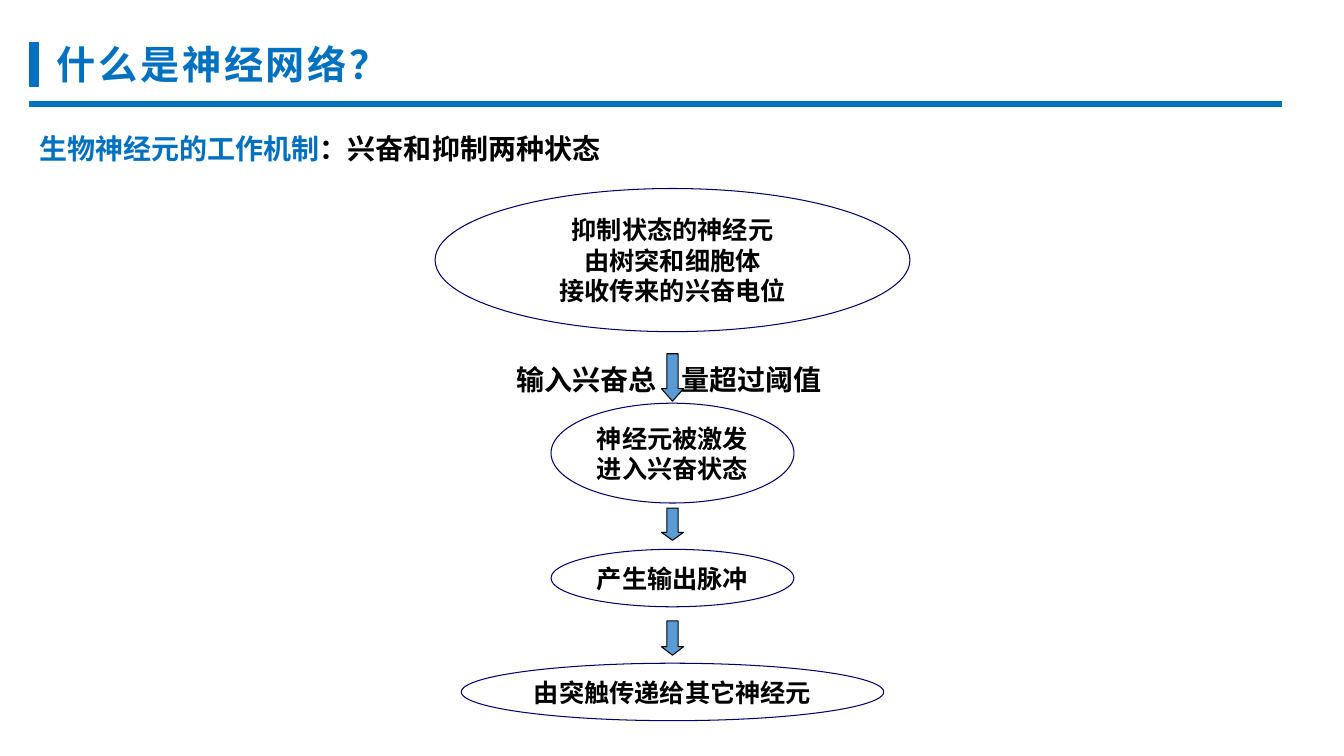
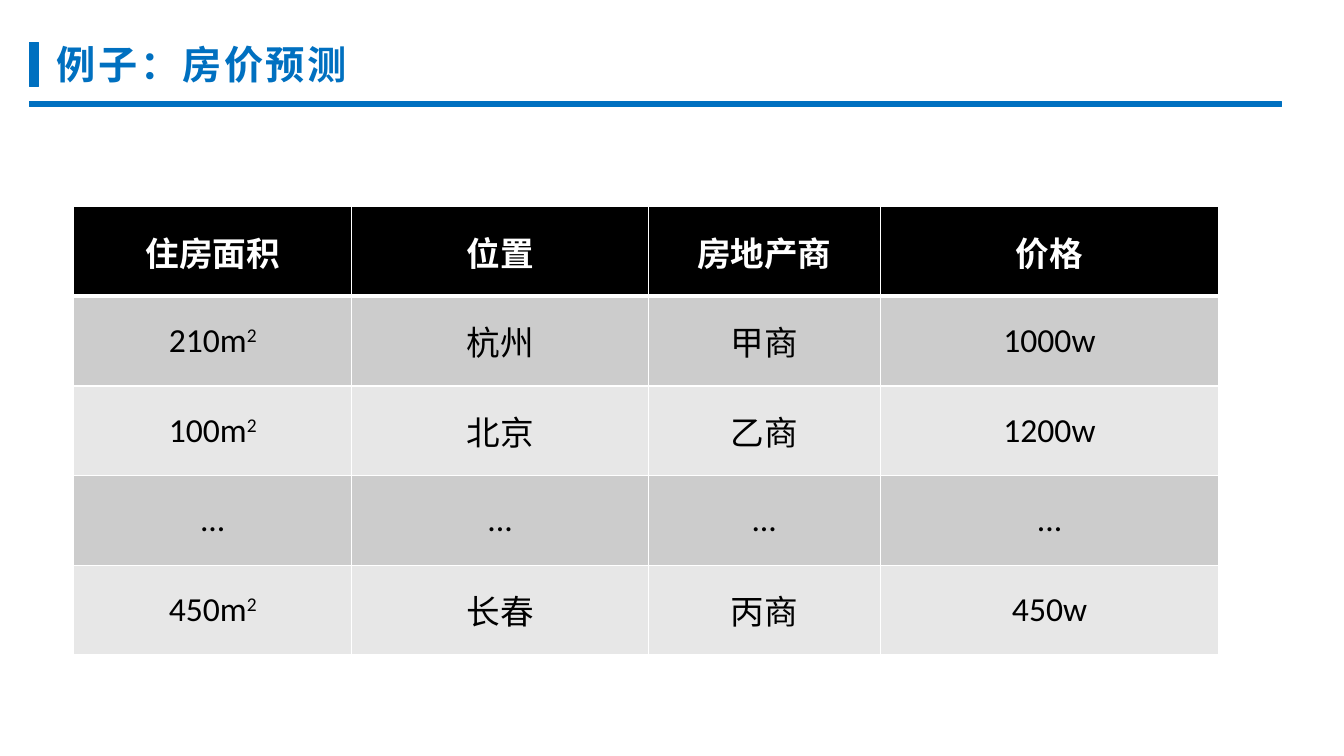
import pptx
import pptx.util
import pptx.dml.color
import pptx.enum.shapes
import pptx.enum.text
import pptx.oxml
import pptx.oxml.ns
from lxml import etree

Inches, Pt = pptx.util.Inches, pptx.util.Pt
SHAPE = pptx.enum.shapes.MSO_SHAPE
ALIGN = pptx.enum.text.PP_ALIGN
MIDDLE = pptx.enum.text.MSO_ANCHOR.MIDDLE
qn = pptx.oxml.ns.qn

HAN, LATIN = "Noto Sans CJK SC", "Calibri"
BLUE, NAVY, SKY = "0070C0", "000066", "5B9BD5"
BLACK, WHITE = "000000", "FFFFFF"
BANDS = ["CCCCCC", "E7E7E7"]


def color(code):
    return pptx.dml.color.RGBColor.from_string(code)


# Text: a line is a list of (words, run attributes, run colour)
def write(frame, lines, size, ink=BLACK, bold=True, face=HAN, align=ALIGN.CENTER):
    frame.vertical_anchor = MIDDLE
    for i, line in enumerate(lines):
        para = frame.add_paragraph() if i else frame.paragraphs[0]
        para.alignment = align
        font = para.font
        font.name, font.size, font.bold = face, Pt(size), bold
        font.color.rgb = color(ink)
        for words, attrs, tint in line:
            run = para.add_run()
            run.text = words
            if tint:
                run.font.color.rgb = color(tint)
            props = run.font._element
            for key, value in attrs.items():
                props.set(key, value)
            etree.SubElement(props, qn("a:ea")).set("typeface", HAN)


def plain(*lines):
    return [[(line, {}, None)] for line in lines]


def label(slide, box, lines, size, ink=BLACK):
    frame = slide.shapes.add_textbox(*map(Inches, box)).text_frame
    frame.word_wrap = True
    write(frame, lines, size, ink, align=ALIGN.LEFT)
    return frame


def shape(slide, kind, box, fill, line, width=0.75):
    item = slide.shapes.add_shape(kind, *map(Inches, box))
    item.shadow.inherit = False
    if fill:
        item.fill.solid()
        item.fill.fore_color.rgb = color(fill)
    else:
        item.fill.background()
    item.line.color.rgb = color(line)
    item.line.width = Pt(width)
    return item


# Shared heading: marker, rule and title
def start(deck, title):
    slide = deck.slides.add_slide(deck.slide_layouts[6])
    for box in [(0.29, 0.42, 0.09, 0.44), (0.29, 1.01, 12.42, 0.05)]:
        shape(slide, SHAPE.RECTANGLE, box, BLUE, BLUE, 1)
    label(slide, (0.46, 0.35, 3.39, 0.57), [[(title, {"spc": "200"}, None)]], 28, BLUE)
    return slide


# Flow of ellipses and arrows, centred on one axis
def flow(slide, axis, top):
    steps = [
        (0, 4.71, 1.42, ["抑制状态的神经元", "由树突和细胞体", "接收传来的兴奋电位"]),
        (2.13, 2.41, 0.99, ["神经元被激发", "进入兴奋状态"]),
        (3.58, 2.41, 0.57, ["产生输出脉冲"]),
        (4.71, 4.19, 0.57, ["由突触传递给其它神经元"]),
    ]
    for y, wide, high, lines in steps:
        oval = shape(slide, SHAPE.OVAL, (axis - wide / 2, top + y, wide, high), None, NAVY)
        oval.text_frame.word_wrap = False
        write(oval.text_frame, plain(*lines), 18)

    # Condition, split by a tab around the first arrow
    note = label(slide, (axis - 1.65, top + 1.67, 3.34, 0.44),
                 plain("输入兴奋总\t量超过阈值"), 20)
    props = note.paragraphs[0]._p.get_or_add_pPr()
    tabs = pptx.oxml.parse_xml(
        '<a:tabLst xmlns:a="http://schemas.openxmlformats.org/drawingml/2006/main">'
        f'<a:tab pos="{Inches(1.64)}" algn="l"/></a:tabLst>')
    props.insert(0, tabs)

    for y, high, head in [(1.64, 0.47, 0.56), (3.17, 0.32, 0.36), (4.29, 0.34, 0.38)]:
        arrow = shape(slide, SHAPE.DOWN_ARROW, (axis - 0.11, top + y, 0.22, high), SKY, BLACK)
        arrow.adjustments[1] = head


# Table of house prices
def border(cell, sides):
    props = cell._tc.get_or_add_tcPr()
    for side, width in sides.items():
        line = etree.SubElement(props, qn("a:ln" + side), w=str(Pt(width)))
        fill = etree.SubElement(line, qn("a:solidFill"))
        etree.SubElement(fill, qn("a:srgbClr"), val=WHITE)


def prices(slide, left, top):
    rows = [
        ["住房面积", "位置", "房地产商", "价格"],
        ["210m", "杭州", "甲商", "1000w"],
        ["100m", "北京", "乙商", "1200w"],
        ["..."] * 4,
        ["450m", "长春", "丙商", "450w"],
    ]
    widths, high = [2.76, 2.94, 2.3, 3.36], 0.89
    box = (left, top, sum(widths), high * len(rows))
    table = slide.shapes.add_table(len(rows), len(widths), *map(Inches, box)).table
    for col, wide in zip(table.columns, widths):
        col.width = Inches(wide)
    for r, row in enumerate(rows):
        table.rows[r].height = Inches(high)
        for c, words in enumerate(row):
            cell = table.cell(r, c)
            border(cell, {"L": 1, "R": 1, "T": 3 if r == 1 else 1, "B": 1 if r else 3})
            cell.fill.solid()
            cell.fill.fore_color.rgb = color(BANDS[(r - 1) % 2] if r else BLACK)
            line = plain(words)[0]
            if words.endswith("m"):
                line.append(("2", {"baseline": "30000"}, None))
            write(cell.text_frame, [line], 24, BLACK if r else WHITE, r == 0, LATIN)
            cell.vertical_anchor = MIDDLE


def main():
    deck = pptx.Presentation()
    deck.slide_width, deck.slide_height = Inches(13.33), Inches(7.5)

    slide = start(deck, "什么是神经网络？")
    topic = [("生物神经元的工作机制", {}, BLUE), ("：兴奋和抑制两种状态", {}, None)]
    label(slide, (0.29, 1.25, 5.82, 0.44), [topic], 20)
    flow(slide, 6.67, 1.87)

    slide = start(deck, "例子：房价预测")
    prices(slide, 0.73, 2.05)

    deck.save("out.pptx")


if __name__ == "__main__":
    main()
